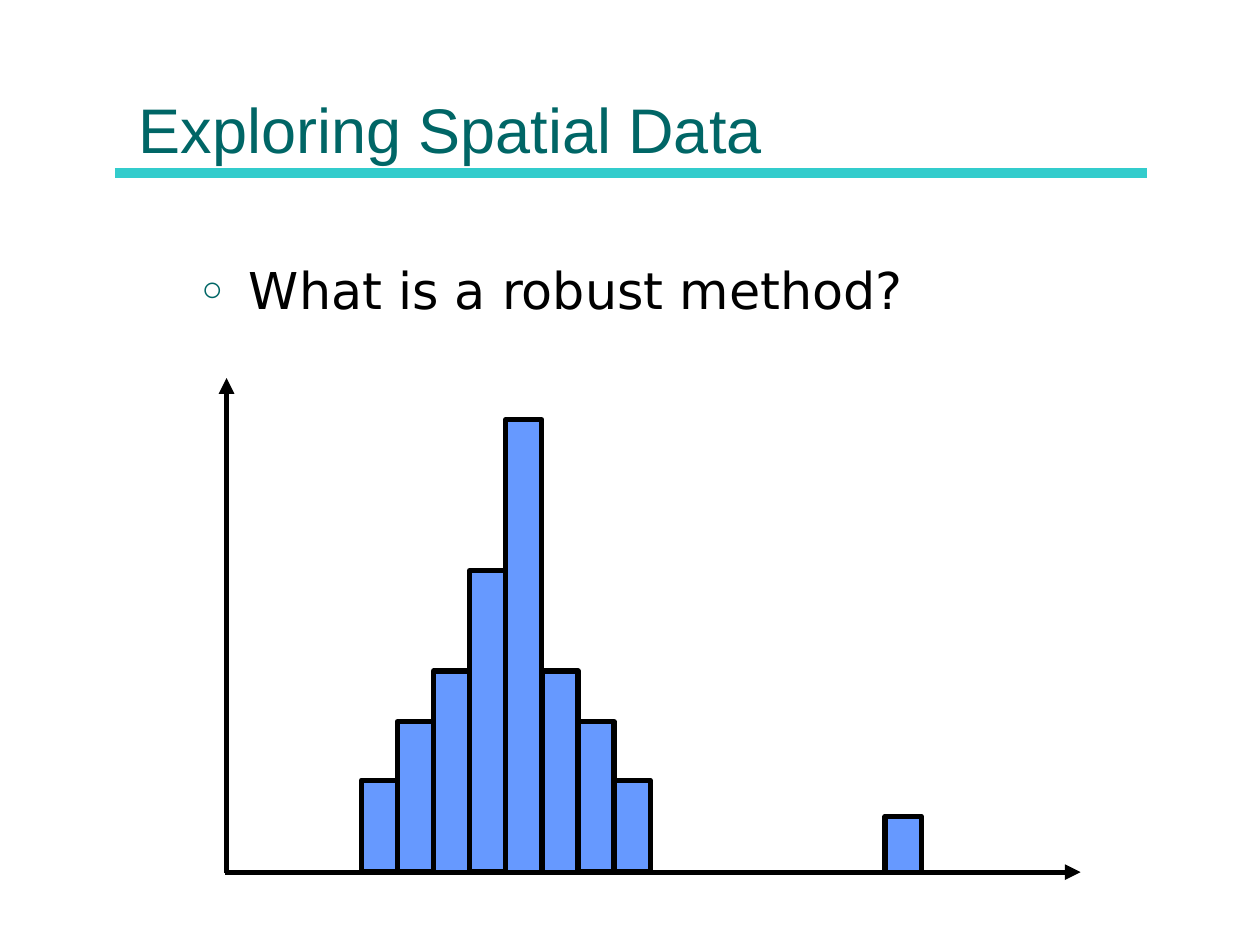
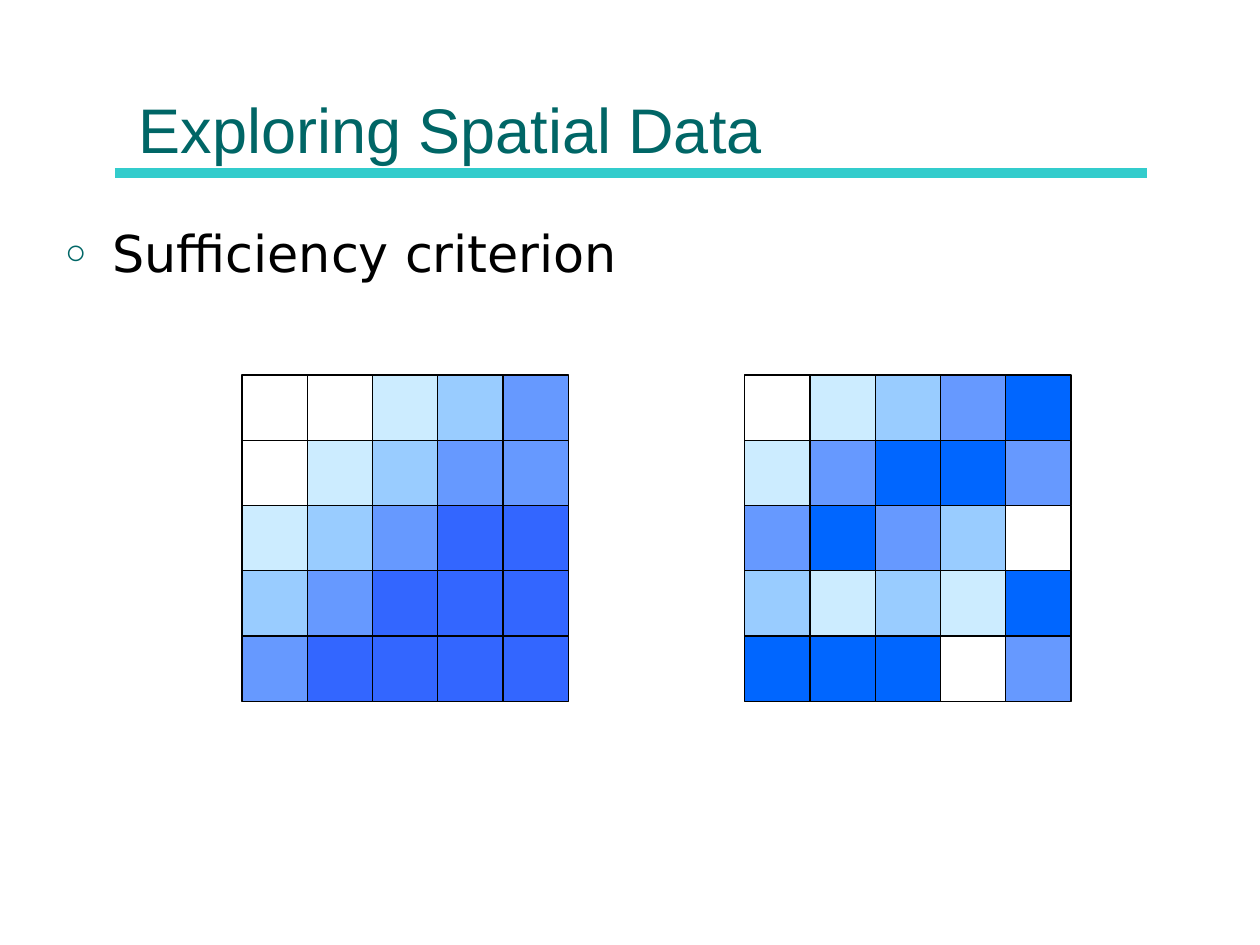
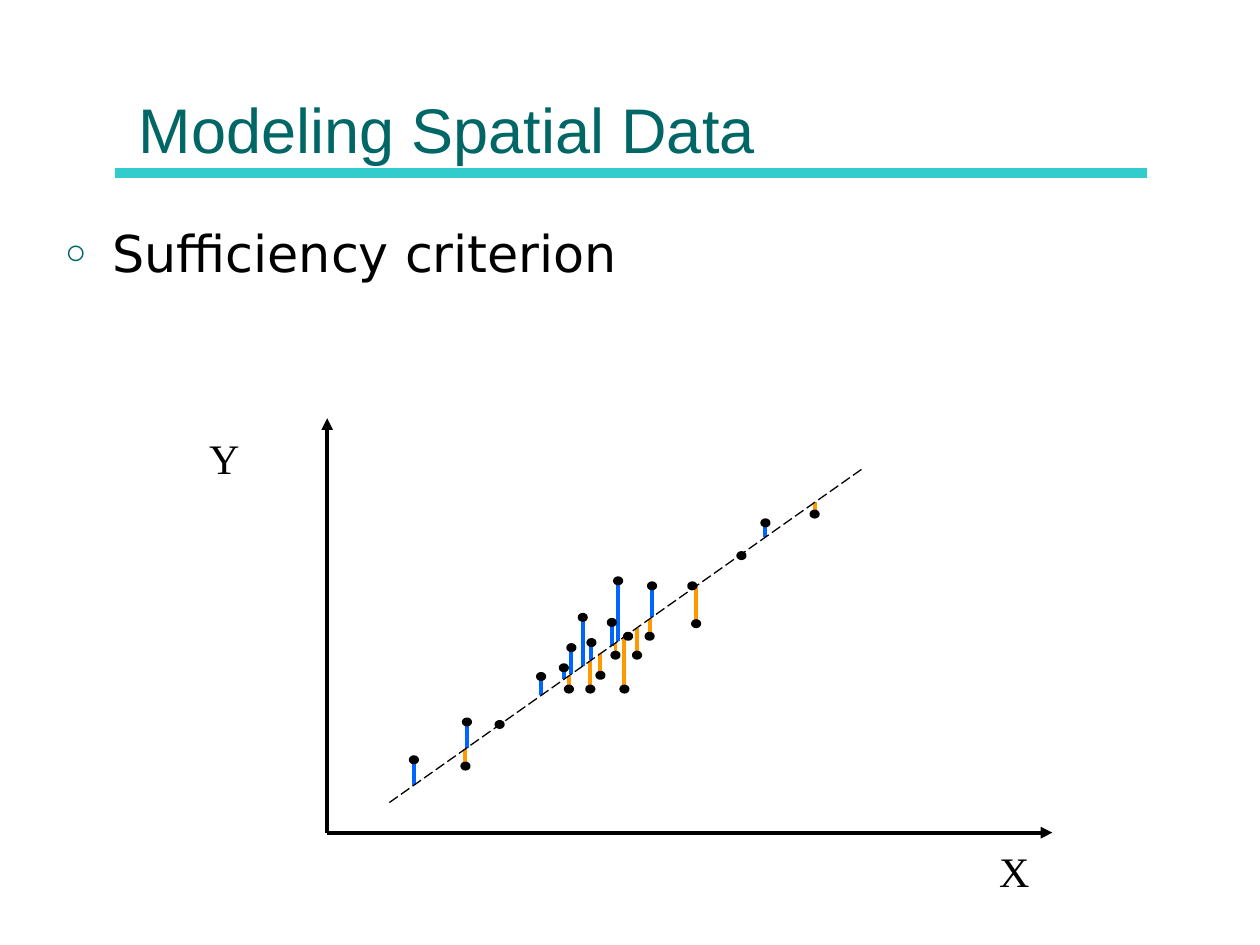
from lxml.etree import SubElement
from pptx import Presentation
from pptx.dml.color import RGBColor
from pptx.enum.dml import MSO_LINE
from pptx.enum.shapes import MSO_CONNECTOR, MSO_SHAPE
from pptx.enum.text import MSO_ANCHOR, MSO_AUTO_SIZE, PP_ALIGN
from pptx.oxml.ns import qn
from pptx.util import Pt

COLORS = {
    "title": "006666", "rule": "33CCCC", "ink": "000000", "white": "FFFFFF",
    "pale": "CCECFF", "sky": "99CCFF", "mid": "6699FF", "royal": "3366FF",
    "blue": "0066FF", "orange": "FF9900",
}


def write_text(frame, text, font="Arial", size=24, color="ink", align=PP_ALIGN.LEFT,
               anchor=MSO_ANCHOR.TOP, wrap=True, bullet=None):
    """Fill a text frame with one formatted paragraph, bulleted if asked."""
    frame.auto_size = MSO_AUTO_SIZE.NONE
    frame.word_wrap = wrap
    frame.vertical_anchor = anchor
    paragraph = frame.paragraphs[0]
    paragraph.alignment = align
    paragraph.space_before = Pt(0)
    if bullet:
        props = paragraph._p.get_or_add_pPr()
        props.set("marL", str(Pt(27)))
        props.set("indent", str(Pt(-27)))
        tint = SubElement(props, qn("a:buClr"))
        SubElement(tint, qn("a:srgbClr"), val=COLORS["title"])
        SubElement(props, qn("a:buSzPct"), val="70000")
        SubElement(props, qn("a:buChar"), char=bullet)
    run = paragraph.add_run()
    run.text = text
    run.font.name = font
    run.font.size = Pt(size)
    run.font.color.rgb = RGBColor.from_string(COLORS[color])


def draw_line(slide, start, end, color="ink", weight=2.25, arrow=False, dash=None):
    line = slide.shapes.add_connector(
        MSO_CONNECTOR.STRAIGHT, *(Pt(value) for value in (*start, *end)))
    line.line.color.rgb = RGBColor.from_string(COLORS[color])
    line.line.width = Pt(weight)
    if dash:
        line.line.dash_style = dash
    if arrow:
        SubElement(line.line._get_or_add_ln(), qn("a:tailEnd"), type="triangle")
    SubElement(line._element.spPr, qn("a:effectLst"))


prs = Presentation()
prs.slide_width, prs.slide_height = Pt(720), Pt(540)

# Shared title, rule and bullet
upper_left = (30, 123, 657, 324)
pages = [
    ("Exploring Spatial Data", "What is a robust method?", (108, 144, 576, 371.5)),
    ("Exploring Spatial Data", "Sufficiency criterion", upper_left),
    ("Modeling Spatial Data", "Sufficiency criterion", upper_left),
]
for heading, topic, topic_area in pages:
    slide = prs.slides.add_slide(prs.slide_layouts[1])
    draw_line(slide, (65.7, 98.8), (655.3, 98.8), color="rule", weight=6)
    title, body = slide.placeholders
    for holder, area in ((title, (72, 8.6, 576, 90)), (body, topic_area)):
        holder.left, holder.top, holder.width, holder.height = map(Pt, area)
    write_text(title.text_frame, heading, size=36, color="title", anchor=MSO_ANCHOR.BOTTOM)
    write_text(body.text_frame, topic, font="DejaVu Sans", size=29, bullet="○")
robust, sufficiency, modeling = prs.slides

# Each entry: slide, preset, left, top, width, height, fill, outline weight
marks = []

# Histogram with one outlier
baseline, first_bar, bar_width = 498.4, 206.5, 20.64
draw_line(robust, (129.5, 499), (129.5, 216), weight=3, arrow=True)
draw_line(robust, (128.6, baseline), (617.5, baseline), weight=3, arrow=True)
bars = [(0, 52.5), (1, 86), (2, 115), (3, 172.4), (4, 258.6),
        (5, 115), (6, 86), (7, 52.5), (14.5, 32)]
for column, height in bars:
    marks.append((robust, MSO_SHAPE.RECTANGLE, first_bar + column * bar_width,
                  baseline - height, bar_width, height, "mid", 3))

# Two rasters, shaded from 0 (white) to 4 (darkest)
cell = 37.28
rasters = [
    (138.3, "royal", ["00123", "01233", "12344", "23444", "34444"]),
    (425.6, "blue", ["01234", "13443", "34320", "21214", "44403"]),
]
for raster_left, darkest, rows in rasters:
    shades = ["white", "pale", "sky", "mid", darkest]
    for row, levels in enumerate(rows):
        for column, level in enumerate(levels):
            marks.append((sufficiency, MSO_SHAPE.RECTANGLE, raster_left + column * cell,
                          214.3 + row * cell, cell, cell, shades[int(level)], 0.75))

# Regression: each point is joined to the trend by its residual
trend_start, trend_end = (222.5, 458.6), (493.9, 267.1)
slope = (trend_end[1] - trend_start[1]) / (trend_end[0] - trend_start[0])
points = [
    (236.5, 434.2), (266, 437.8), (266.8, 412.6), (285.5, 414), (309.2, 386.6),
    (322.2, 381.6), (325.1, 393.8), (326.5, 370.1), (333, 352.8), (337.3, 393.8),
    (338, 367.2), (343.1, 385.9), (349.6, 355.7), (351.7, 374.4), (353.2, 331.9),
    (356.8, 393.8), (358.9, 363.6), (364, 374.4), (371.2, 363.6), (372.6, 334.8),
    (395.6, 334.8), (397.8, 356.4), (423.7, 317.5), (437.4, 298.8), (465.5, 293.8),
]
dot_width, dot_height = 3.6, 2.9
for x, y in points:
    fitted = trend_start[1] + slope * (x - trend_start[0])
    if abs(fitted - y) > 2:
        draw_line(modeling, (x, y), (x, fitted), color="blue" if y < fitted else "orange")
    marks.append((modeling, MSO_SHAPE.OVAL, x - dot_width / 2, y - dot_height / 2,
                  dot_width, dot_height, "ink", 2.25))
origin = (187, 475.8)
for axis_end in ((187, 239), (601.4, 475.8)):
    draw_line(modeling, origin, axis_end, arrow=True)
draw_line(modeling, trend_start, trend_end, weight=0.75, dash=MSO_LINE.LONG_DASH)
for axis_name, left, top in (("Y", 112.3, 243.4), ("X", 563.8, 479.7)):
    label = modeling.shapes.add_textbox(Pt(left), Pt(top), Pt(31.7), Pt(36))
    write_text(label.text_frame, axis_name, font="Times New Roman",
               align=PP_ALIGN.CENTER, wrap=False)

for slide, preset, left, top, width, height, fill, weight in marks:
    mark = slide.shapes.add_shape(preset, Pt(left), Pt(top), Pt(width), Pt(height))
    mark.shadow.inherit = False
    mark.fill.solid()
    mark.fill.fore_color.rgb = RGBColor.from_string(COLORS[fill])
    mark.line.color.rgb = RGBColor.from_string(COLORS["ink"])
    mark.line.width = Pt(weight)

prs.save("out.pptx")
